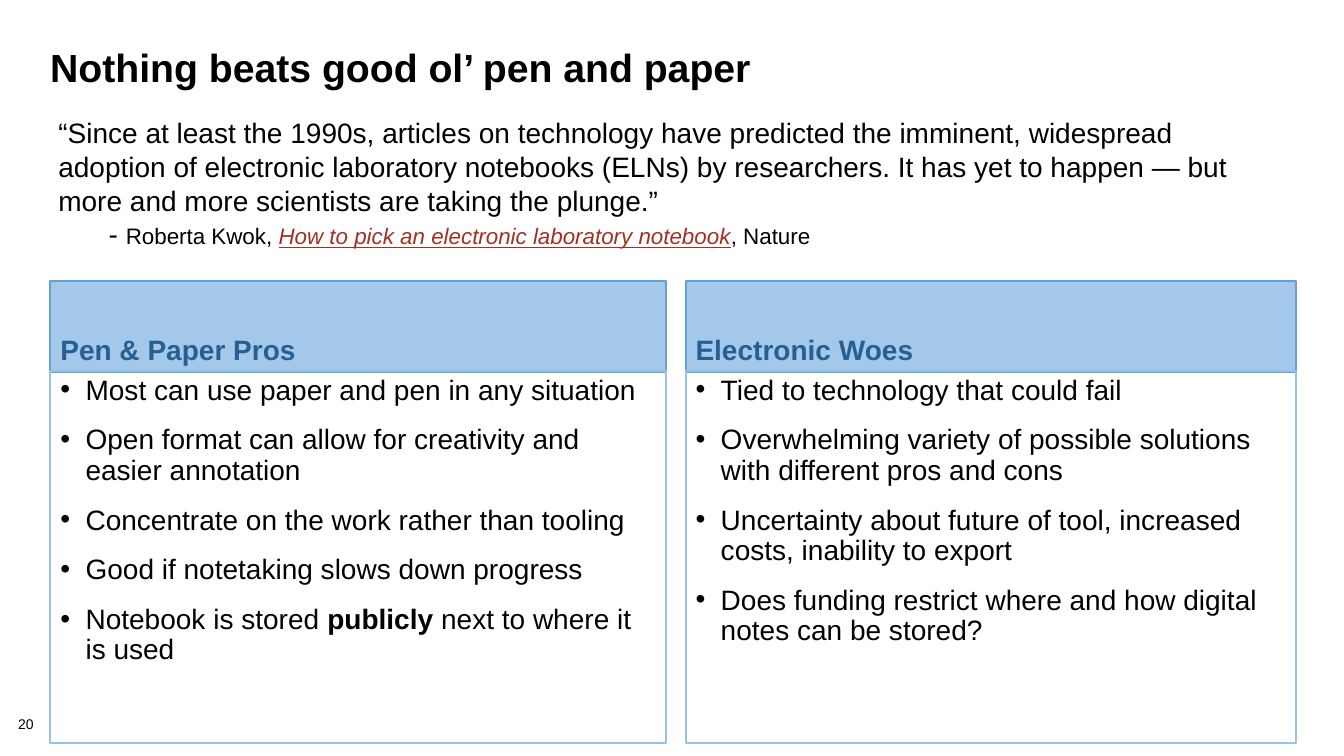
from pptx import Presentation
from pptx.dml.color import RGBColor
from pptx.enum.shapes import MSO_SHAPE
from pptx.enum.text import MSO_ANCHOR, PP_ALIGN
from pptx.util import Inches, Pt
from lxml.etree import SubElement
from pptx.oxml.ns import qn

BLACK = RGBColor(0x00, 0x00, 0x00)
RED = RGBColor(0xA0, 0x31, 0x23)
HEADING_BLUE = RGBColor(0x26, 0x60, 0x93)
HEADER_FILL = RGBColor(0xA3, 0xC8, 0xEA)
HEADER_LINE = RGBColor(0x64, 0xA1, 0xD7)
LIST_LINE = RGBColor(0x98, 0xC1, 0xE8)

HEADER_TOP, HEADER_HEIGHT = 2.79, 0.9
LIST_TOP, LIST_HEIGHT = 3.68, 3.69

COLUMNS = [
    (0.5, 6.11, "Pen & Paper Pros", [
        [("Most can use paper and pen in any situation", {})],
        [("Open format can allow for creativity and easier annotation", {})],
        [("Concentrate on the work rather than tooling", {})],
        [("Good if notetaking slows down progress", {})],
        [("Notebook is stored ", {}), ("publicly", {"bold": True}),
         (" next to where it is used", {})],
    ]),
    (6.8, 6.05, "Electronic Woes", [
        [("Tied to technology that could fail", {})],
        [("Overwhelming variety of possible solutions with different pros and cons", {})],
        [("Uncertainty about future of tool, increased costs, inability to export", {})],
        [("Does funding restrict where and how digital notes can be stored?", {})],
    ]),
]

QUOTE = [
    [("“Since at least the 1990s, articles on technology have predicted the imminent, "
      "widespread adoption of electronic laboratory notebooks (ELNs) by researchers. "
      "It has yet to happen — but more and more scientists are taking the plunge.”", {})],
    [("\t- ", {}), ("Roberta Kwok, ", {"size": 16}),
     ("How to pick an electronic laboratory notebook",
      {"size": 16, "color": RED, "italic": True, "underline": True}),
     (", Nature", {"size": 16})],
]


class SlideBuilder:
    def __init__(self, slide, font="Arial", size=20):
        self.slide = slide
        self.font = font
        self.size = size

    def add_run(self, paragraph, text, size=None, color=BLACK,
                bold=False, italic=False, underline=False):
        run = paragraph.add_run()
        run.text = text
        run.font.name = self.font
        run.font.size = Pt(size or self.size)
        run.font.color.rgb = color
        run.font.bold = bold
        run.font.italic = italic
        run.font.underline = underline

    def add_bullet(self, paragraph):
        properties = paragraph._p.get_or_add_pPr()
        properties.set("marL", str(Inches(0.25)))
        properties.set("indent", str(Inches(-0.25)))
        SubElement(properties, qn("a:buFont"), typeface=self.font)
        SubElement(properties, qn("a:buChar"), char="•")

    def fill_frame(self, frame, paragraphs, spacing=1.0, gap=0, bulleted=False):
        """Fill a text frame; each paragraph is a list of (text, style) runs."""
        frame.word_wrap = True
        for index, runs in enumerate(paragraphs):
            paragraph = frame.add_paragraph() if index else frame.paragraphs[0]
            if bulleted:
                self.add_bullet(paragraph)
            paragraph.alignment = PP_ALIGN.LEFT
            paragraph.line_spacing = spacing
            paragraph.space_before = Pt(gap if index else 0)
            for text, style in runs:
                self.add_run(paragraph, text, **style)

    def add_text(self, left, top, width, height, paragraphs, spacing=1.0, margins=True):
        frame = self.slide.shapes.add_textbox(
            Inches(left), Inches(top), Inches(width), Inches(height)).text_frame
        if not margins:
            frame.margin_left = frame.margin_right = 0
            frame.margin_top = frame.margin_bottom = 0
        self.fill_frame(frame, paragraphs, spacing)

    def add_panel(self, left, top, width, height, line, paragraphs,
                  fill=None, anchor=MSO_ANCHOR.TOP, bulleted=False):
        panel = self.slide.shapes.add_shape(
            MSO_SHAPE.RECTANGLE, Inches(left), Inches(top), Inches(width), Inches(height))
        panel.shadow.inherit = False
        if fill is None:
            panel.fill.background()
        else:
            panel.fill.solid()
            panel.fill.fore_color.rgb = fill
        panel.line.color.rgb = line
        panel.line.width = Pt(1.5)
        panel.text_frame.vertical_anchor = anchor
        self.fill_frame(panel.text_frame, paragraphs, 0.9, 14, bulleted)


def main():
    presentation = Presentation()
    presentation.slide_width = Inches(13.33)
    presentation.slide_height = Inches(7.5)
    builder = SlideBuilder(presentation.slides.add_slide(presentation.slide_layouts[6]))

    builder.add_text(0.18, 7.12, 0.56, 0.16, [[("20", {"size": 10})]], 0.9, margins=False)
    builder.add_text(0.4, 0.45, 12.44, 1,
                     [[("Nothing beats good ol’ pen and paper",
                        {"size": 28, "bold": True})]], 0.85)
    for left, width, heading, points in COLUMNS:
        builder.add_panel(left, HEADER_TOP, width, HEADER_HEIGHT, HEADER_LINE,
                          [[(heading, {"color": HEADING_BLUE, "bold": True})]],
                          fill=HEADER_FILL, anchor=MSO_ANCHOR.BOTTOM)
        builder.add_panel(left, LIST_TOP, width, LIST_HEIGHT, LIST_LINE, points,
                          bulleted=True)
    builder.add_text(0.48, 1.1, 12.36, 1.45, QUOTE)

    presentation.save("out.pptx")


if __name__ == "__main__":
    main()
